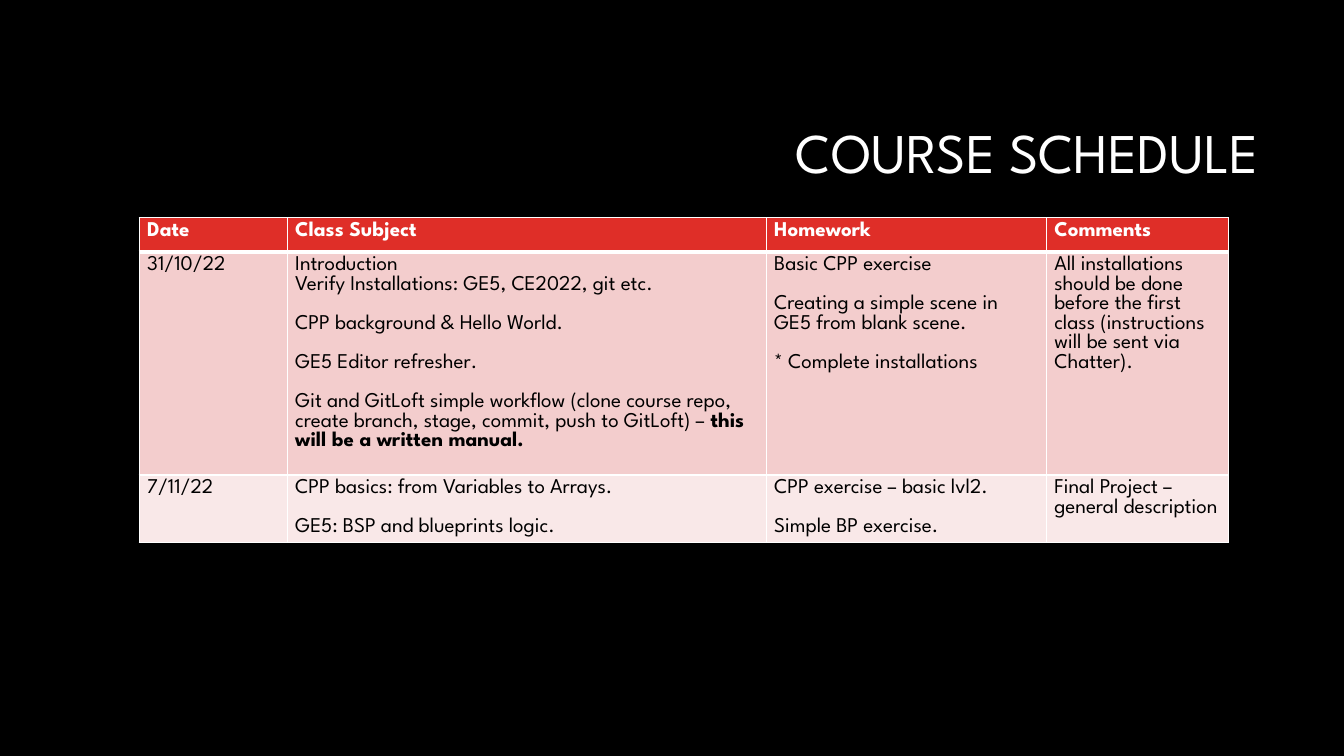
import pptx
import pptx.util
import pptx.dml.color
import pptx.enum.text
import pptx.oxml

Cm, Pt = pptx.util.Cm, pptx.util.Pt
COLORS = {"back": "000000", "white": "FFFFFF", "text": "000000",
          "head": "DF2E28", "dark": "F3CDCD", "light": "F9E8E8"}
FACE = "League Spartan"


def style(font, size, color, bold=False):
    font.name, font.size, font.bold = FACE, Pt(size), bold
    font.color.rgb = pptx.dml.color.RGBColor.from_string(COLORS[color])


def border(cell, side, width):
    line = pptx.oxml.parse_xml(
        f'<a:ln{side} xmlns:a="http://schemas.openxmlformats.org/drawingml/2006/main" '
        f'w="{Pt(width)}"><a:solidFill><a:srgbClr val="{COLORS["white"]}"/>'
        f'</a:solidFill></a:ln{side}>')
    cell._tc.get_or_add_tcPr().append(line)


# Slide
deck = pptx.Presentation()
deck.slide_width, deck.slide_height = Cm(33.87), Cm(19.05)
slide = deck.slides.add_slide(deck.slide_layouts[5])
back = slide.background.fill
back.solid()
back.fore_color.rgb = pptx.dml.color.RGBColor.from_string(COLORS["back"])

# Title
title = slide.shapes.title
title.left, title.top, title.width, title.height = Cm(8.05), Cm(2.13), Cm(23.93), Cm(3.58)
frame = title.text_frame
frame.text = "COURSE SCHEDULE"
frame.vertical_anchor = pptx.enum.text.MSO_ANCHOR.MIDDLE
para = frame.paragraphs[0]
para.alignment = pptx.enum.text.PP_ALIGN.RIGHT
para.line_spacing = 0.9
style(para.runs[0].font, 40, "white")

# Schedule: each cell is a list of blocks with a gap between them;
# a newline starts a paragraph without a gap, a bar starts bold text
rows = [
    [["Date"], ["Class Subject"], ["Homework"], ["Comments"]],
    [["31/10/22"],
     ["Introduction\nVerify Installations: GE5, CE2022, git etc.",
      "CPP background & Hello World.",
      "GE5 Editor refresher.",
      "Git and GitLoft simple workflow (clone course repo, create branch, "
      "stage, commit, push to GitLoft) – |this will be a written manual."],
     ["Basic CPP exercise",
      "Creating a simple scene in GE5 from blank scene.",
      "* Complete installations"],
     ["All installations should be done before the first class "
      "(instructions will be sent via Chatter)."]],
    [["7/11/22"],
     ["CPP basics: from Variables to Arrays.", "GE5: BSP and blueprints logic."],
     ["CPP exercise – basic lvl2.", "Simple BP exercise."],
     ["Final Project – general description"]],
]
widths = [3.73, 12.07, 7.06, 4.6]
heights = [0.86, 5.62, 1.71]
fills = ["head", "dark", "light"]

# Table
table = slide.shapes.add_table(3, 4, Cm(3.51), Cm(5.49),
                               Cm(sum(widths)), Cm(sum(heights))).table
for col, width in zip(table.columns, widths):
    col.width = Cm(width)

for r, row in enumerate(rows):
    table.rows[r].height = Cm(heights[r])
    for c, blocks in enumerate(row):
        cell = table.cell(r, c)
        cell.margin_left = cell.margin_right = Cm(0.2)
        cell.margin_top = cell.margin_bottom = Cm(0.1)

        # Borders, thick below the header
        for side in "LRTB":
            thick = (r, side) in [(0, "B"), (1, "T")]
            border(cell, side, 3 if thick else 1)
        cell.fill.solid()
        cell.fill.fore_color.rgb = pptx.dml.color.RGBColor.from_string(COLORS[fills[r]])

        # Text
        frame = cell.text_frame
        frame.text = "\n".join(blocks).replace("|", "")
        starts = [block.split("\n")[0] for block in blocks[1:]]
        lines = "\n".join(blocks).split("\n")
        for para, line in zip(frame.paragraphs, lines):
            plain, _, strong = line.partition("|")
            para.text = plain
            if strong:
                para.add_run().text = strong
            if line in starts:
                para.space_before = Pt(14)
            for i, run in enumerate(para.runs):
                style(run.font, 15, "text" if r else "white", r == 0 or i == 1)

deck.save("out.pptx")
